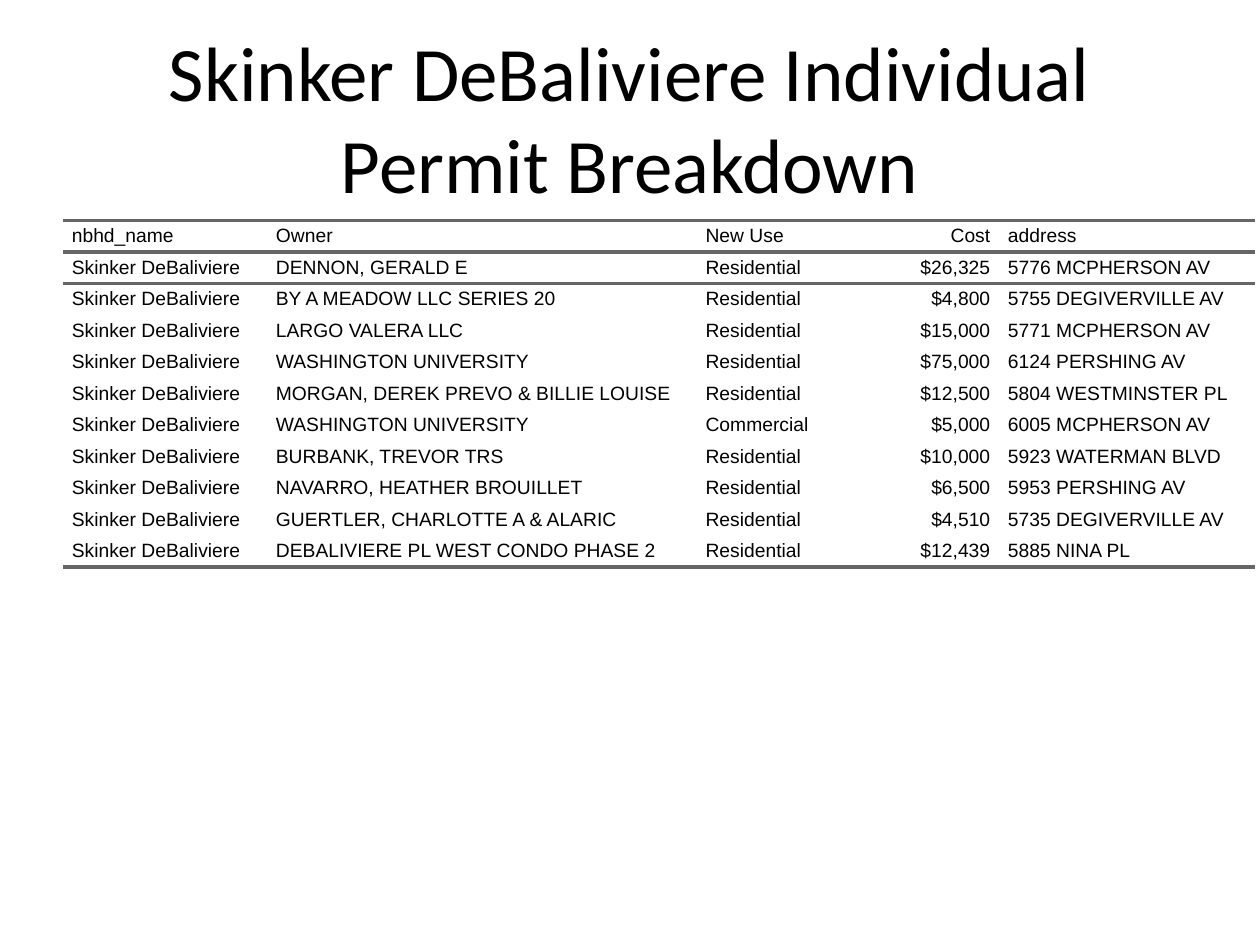
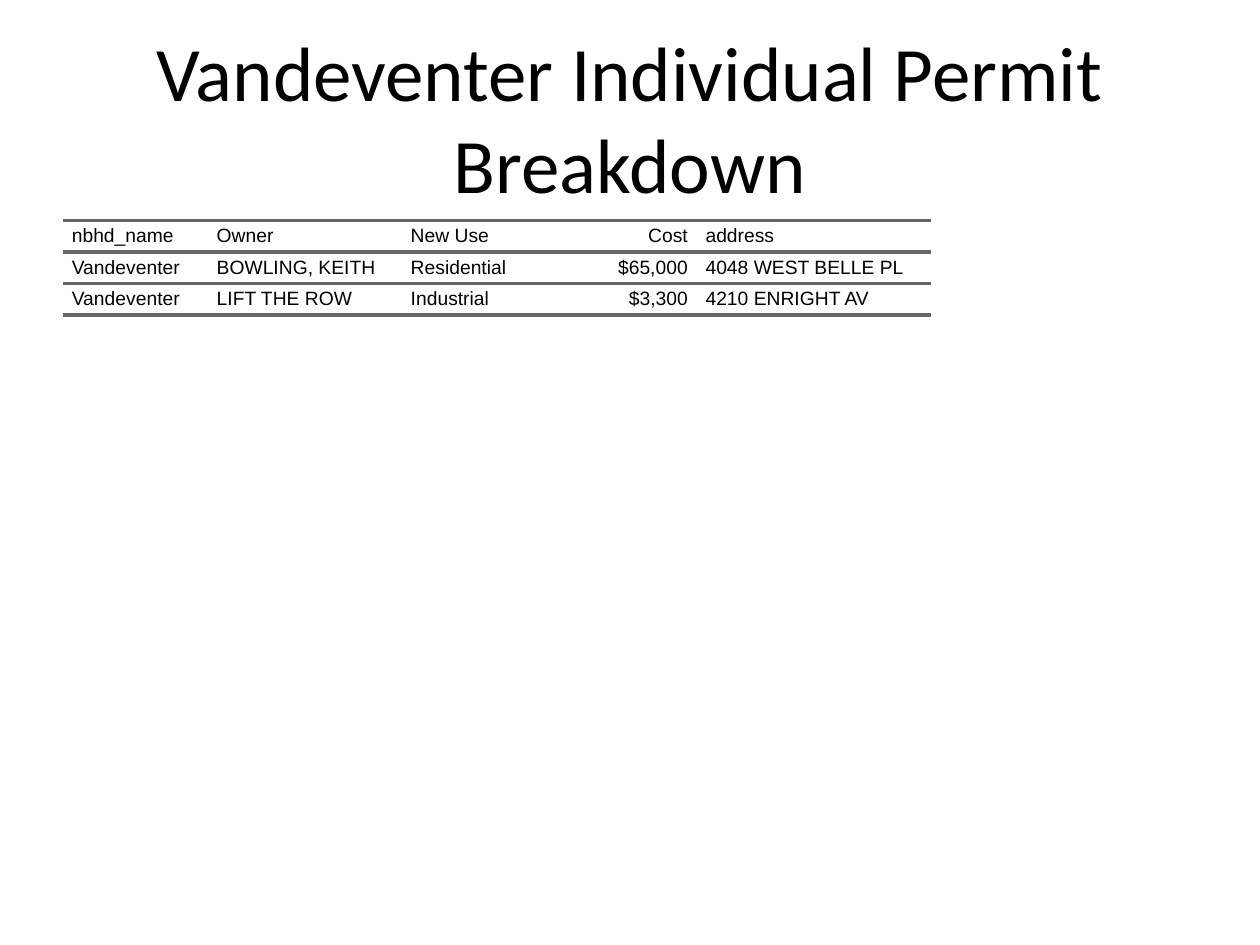
from lxml.etree import SubElement
from pptx import Presentation
from pptx.dml.color import RGBColor
from pptx.enum.text import MSO_ANCHOR, MSO_AUTO_SIZE, PP_ALIGN
from pptx.oxml.ns import qn
from pptx.util import Pt

PX = 9144
COLORS = {"text": "000000", "rule": "666666"}
PLAIN = "{2D5ABB26-0587-4C30-8999-92F81FD0307C}"
HEADS = ["nbhd_name", "Owner", "New Use", "Cost", "address"]
PAGES = [
    ("Skinker DeBaliviere", [162, 341, 110, 130, 203], [
        ("DENNON, GERALD E", "Residential", "$26,325", "5776 MCPHERSON AV"),
        ("BY A MEADOW LLC SERIES 20", "Residential", "$4,800", "5755 DEGIVERVILLE AV"),
        ("LARGO VALERA LLC", "Residential", "$15,000", "5771 MCPHERSON AV"),
        ("WASHINGTON UNIVERSITY", "Residential", "$75,000", "6124 PERSHING AV"),
        ("MORGAN, DEREK PREVO & BILLIE LOUISE", "Residential", "$12,500", "5804 WESTMINSTER PL"),
        ("WASHINGTON UNIVERSITY", "Commercial", "$5,000", "6005 MCPHERSON AV"),
        ("BURBANK, TREVOR TRS", "Residential", "$10,000", "5923 WATERMAN BLVD"),
        ("NAVARRO, HEATHER BROUILLET", "Residential", "$6,500", "5953 PERSHING AV"),
        ("GUERTLER, CHARLOTTE A & ALARIC", "Residential", "$4,510", "5735 DEGIVERVILLE AV"),
        ("DEBALIVIERE PL WEST CONDO PHASE 2", "Residential", "$12,439", "5885 NINA PL"),
    ]),
    ("Vandeventer", [115, 154, 104, 130, 186], [
        ("BOWLING, KEITH", "Residential", "$65,000", "4048 WEST BELLE PL"),
        ("LIFT THE ROW", "Industrial", "$3,300", "4210 ENRIGHT AV"),
    ]),
]


def apply(thing, values):
    for name, value in values.items():
        setattr(thing, name, value)


class Deck:
    """Holds the style and the current slide, and draws each kind of element."""

    title_font = {"name": "Calibri", "size": Pt(44)}
    cell_font = {"name": "Arial", "size": Pt(11)}
    row_high = 25
    indent = 7

    def __init__(self):
        self.file = Presentation()
        apply(self.file, {"slide_width": 1000 * PX, "slide_height": 750 * PX})

    def page(self):
        self.slide = self.file.slides.add_slide(self.file.slide_layouts[5])

    def label(self, frame, text, font, align):
        frame.text = text
        para = frame.paragraphs[0]
        para.alignment = align
        apply(para.runs[0].font, font)
        para.runs[0].font.color.rgb = RGBColor.from_string(COLORS["text"])
        return para

    def title(self, text):
        shape = self.slide.shapes.title
        apply(shape, {"left": 50 * PX, "top": 30 * PX,
                      "width": 900 * PX, "height": 125 * PX})
        apply(shape.text_frame, {"word_wrap": True, "auto_size": MSO_AUTO_SIZE.NONE,
                                 "vertical_anchor": MSO_ANCHOR.MIDDLE})
        self.label(shape.text_frame, text, self.title_font, PP_ALIGN.CENTER)

    def rule(self, cell, side):
        line = SubElement(cell._tc.get_or_add_tcPr(), qn(f"a:ln{side}"), w=str(Pt(2)))
        fill = SubElement(line, qn("a:solidFill"))
        SubElement(fill, qn("a:srgbClr"), val=COLORS["rule"])

    def cell(self, cell, text, align, sides):
        apply(cell, {"margin_left": 0, "margin_right": 0, "margin_top": 0,
                     "margin_bottom": 0, "vertical_anchor": MSO_ANCHOR.MIDDLE})
        para = self.label(cell.text_frame, text, self.cell_font, align)
        for key in ("marL", "marR"):
            para._p.get_or_add_pPr().set(key, str(self.indent * PX))
        for side in sides:
            self.rule(cell, side)
        cell.fill.background()

    def table(self, rows, widths):
        frame = self.slide.shapes.add_table(
            len(rows), len(widths), 50 * PX, 175 * PX, 900 * PX, 495 * PX)
        table = frame.table
        apply(table, {"first_row": False, "horz_banding": False})
        table._tbl.tblPr.find(qn("a:tableStyleId")).text = PLAIN
        for col, width in zip(table.columns, widths):
            col.width = width * PX
        sides = {0: "TB", 1: "T", len(rows) - 1: "B"}
        for r, row in enumerate(rows):
            table.rows[r].height = self.row_high * PX
            for c, text in enumerate(row):
                align = PP_ALIGN.RIGHT if HEADS[c] == "Cost" else PP_ALIGN.LEFT
                self.cell(table.cell(r, c), text, align, sides.get(r, ""))
        apply(frame, {"width": 900 * PX, "height": 495 * PX})


def main():
    deck = Deck()
    for place, widths, permits in PAGES:
        deck.page()
        deck.title(f"{place} Individual Permit Breakdown")
        deck.table([HEADS] + [(place, *permit) for permit in permits], widths)
    deck.file.save("out.pptx")


if __name__ == "__main__":
    main()
